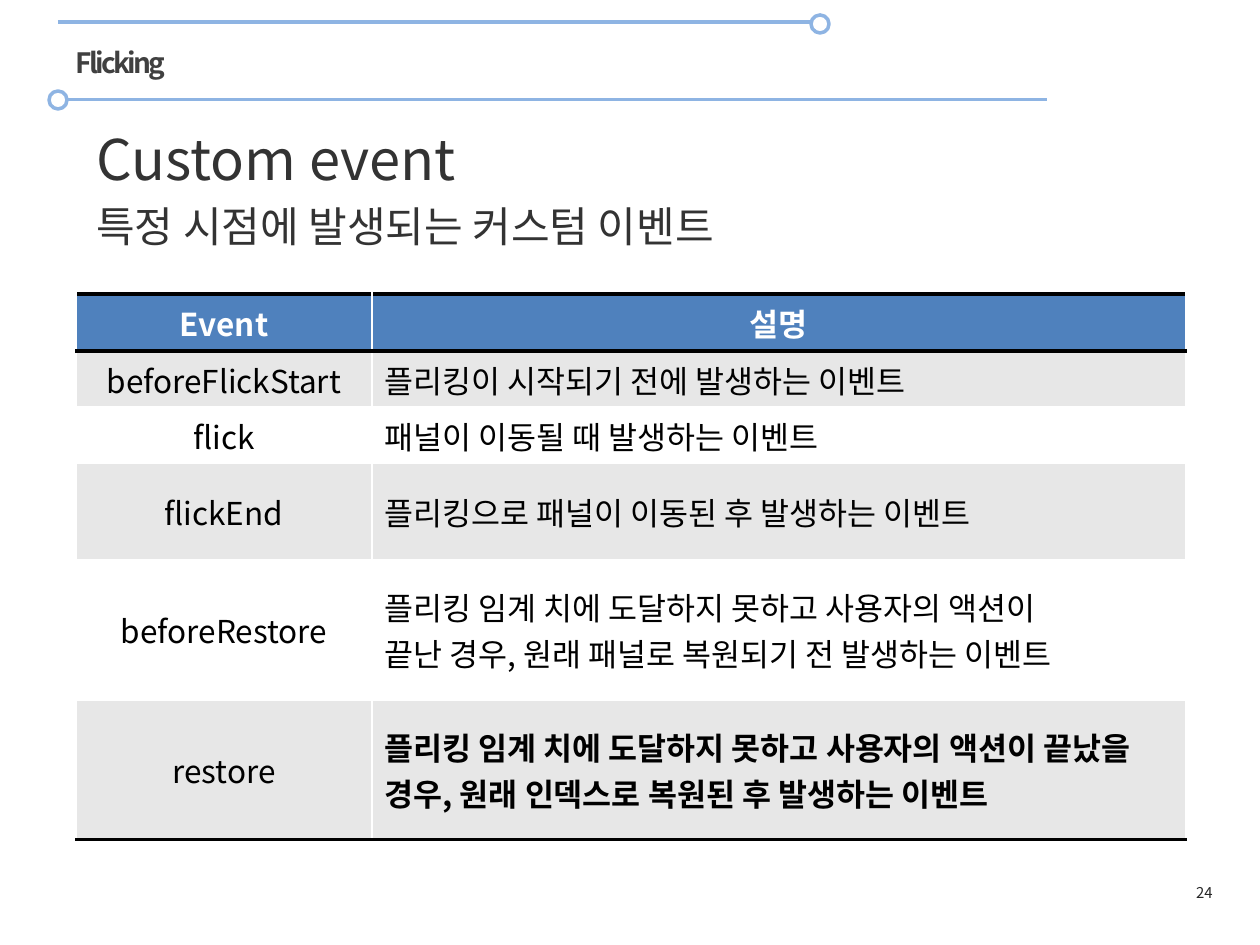
import pptx
import pptx.util
import pptx.dml.color
import pptx.enum.shapes
import pptx.enum.text
import pptx.oxml
import pptx.oxml.ns
import lxml.etree

# Content
HEADING = "Flicking"
TITLE = "Custom event"
SUBTITLE = "특정 시점에 발생되는 커스텀 이벤트"
PAGE = "24"
ROWS = [  # height in px, event, description lines
    (57, "Event", ["설명"]),
    (56, "beforeFlickStart", ["플리킹이 시작되기 전에 발생하는 이벤트"]),
    (56, "flick", ["패널이 이동될 때 발생하는 이벤트"]),
    (97, "flickEnd", ["플리킹으로 패널이 이동된 후 발생하는 이벤트"]),
    (140, "beforeRestore", ["플리킹 임계 치에 도달하지 못하고 사용자의 액션이",
                            "끝난 경우, 원래 패널로 복원되기 전 발생하는 이벤트"]),
    (140, "restore", ["플리킹 임계 치에 도달하지 못하고 사용자의 액션이 끝났을 "
                      "경우, 원래 인덱스로 복원된 후 발생하는 이벤트"]),
]
COLUMNS = (296, 814)
RULES = [(64, 1047, 100), (58, 814, 22)]  # x from, x to, y
RINGS = [(820, 24), (58, 100)]  # centres
RING = 18

FONT = "Noto Sans CJK KR"
COLORS = {"rule": "8EB4E3", "white": "FFFFFF", "black": "000000", "heading": "404040",
          "title": "333333", "page": "262626", "header": "4F81BD", "band": "E7E7E7"}
ALIGN = pptx.enum.text.PP_ALIGN
ANCHOR = pptx.enum.text.MSO_ANCHOR
Pt = pptx.util.Pt


def px(n):
    return pptx.util.Emu(round(n * 914400 / 126))


def color(name):
    return pptx.dml.color.RGBColor.from_string(COLORS[name])


def add_run(p, text, size, ink, bold=False):
    r = p.add_run()
    r.text = text
    r.font.size, r.font.bold, r.font.name = Pt(size), bold, FONT
    r.font.color.rgb = color(ink)
    ea = lxml.etree.SubElement(r._r.get_or_add_rPr(), pptx.oxml.ns.qn("a:ea"))
    ea.set("typeface", FONT)
    return r


def add_text(x, y, w, h):
    tf = s.shapes.add_textbox(px(x), px(y), px(w), px(h)).text_frame
    tf.word_wrap = True
    return tf


def add_border(cell, side):
    tcPr = cell._tc.get_or_add_tcPr()
    ln = pptx.oxml.parse_xml(
        f'<a:{side} {pptx.oxml.ns.nsdecls("a")} w="{Pt(2)}"><a:solidFill>'
        f'<a:srgbClr val="{COLORS["black"]}"/></a:solidFill></a:{side}>')
    # Borders precede the cell fill
    tcPr.insert(sum(child.tag.endswith(("lnT", "lnB")) for child in tcPr), ln)


prs = pptx.Presentation()
prs.slide_width, prs.slide_height = px(1260), px(945)
s = prs.slides.add_slide(prs.slide_layouts[6])

# Page number
tf = add_text(959, 876, 266, 34)
tf.vertical_anchor = ANCHOR.MIDDLE
tf.paragraphs[0].alignment = ALIGN.RIGHT
add_run(tf.paragraphs[0], PAGE, 8.5, "page")

# Heading rules with rings
for x1, x2, y in RULES:
    line = s.shapes.add_connector(pptx.enum.shapes.MSO_CONNECTOR.STRAIGHT,
                                  px(x1), px(y), px(x2), px(y))
    line.line.color.rgb, line.line.width = color("rule"), Pt(1.75)
    lxml.etree.SubElement(line._element.spPr, pptx.oxml.ns.qn("a:effectLst"))
for x, y in RINGS:
    sp = s.shapes.add_shape(pptx.enum.shapes.MSO_SHAPE.OVAL,
                            px(x - RING / 2), px(y - RING / 2), px(RING), px(RING))
    sp.shadow.inherit = False
    sp.fill.solid()
    sp.fill.fore_color.rgb = color("white")
    sp.line.color.rgb, sp.line.width = color("rule"), Pt(2)

# Heading
p = add_text(63, 33, 582, 50).paragraphs[0]
p.line_spacing = Pt(23)
r = add_run(p, HEADING, 16, "heading", True)
r._r.get_or_add_rPr().set("spc", "-150")

# Title and subtitle
tf = add_text(84, 125, 1101, 152)
tf.margin_top = 0
add_run(tf.paragraphs[0], TITLE, 32, "title")
p = tf.add_paragraph()
p.space_before = Pt(5)
add_run(p, SUBTITLE, 24, "title")

# Event table
table = s.shapes.add_table(len(ROWS), len(COLUMNS), px(76), px(294), px(sum(COLUMNS)),
                           px(sum(row[0] for row in ROWS))).table
for column, width in zip(table.columns, COLUMNS):
    column.width = px(width)
last = len(ROWS) - 1
for i, (height, event, description) in enumerate(ROWS):
    table.rows[i].height = px(height)
    header = i == 0
    for j, lines in enumerate(([event], description)):
        cell = table.cell(i, j)
        cell.fill.solid()
        cell.fill.fore_color.rgb = color("header" if header else "band" if i % 2 else "white")
        cell.vertical_anchor = ANCHOR.TOP if header else ANCHOR.MIDDLE
        for k, text in enumerate(lines):
            p = cell.text_frame.paragraphs[0] if k == 0 else cell.text_frame.add_paragraph()
            p.alignment = ALIGN.CENTER if header or j == 0 else ALIGN.LEFT
            add_run(p, text, 18, "white" if header else "black",
                    header or (i == last and j == 1))
        if header:
            add_border(cell, "lnT")
        if i in (0, last):
            add_border(cell, "lnB")

prs.save("out.pptx")
